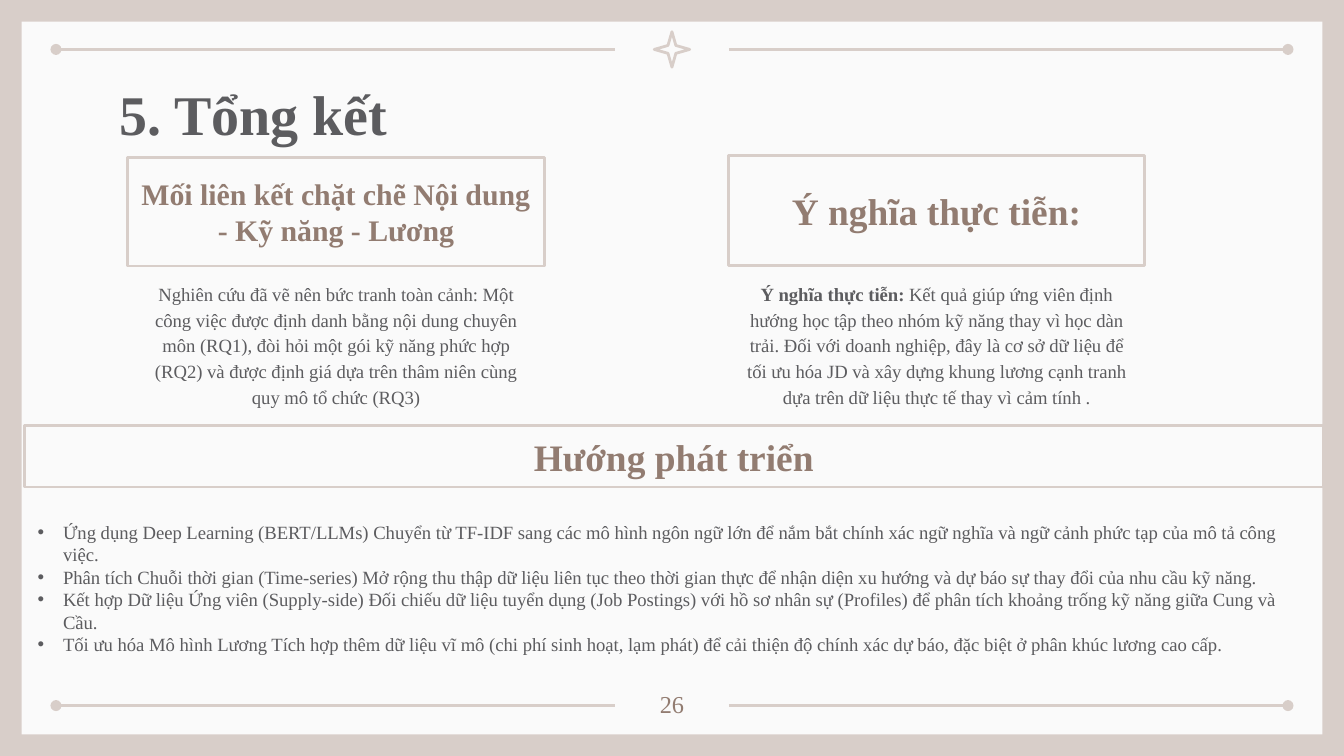
import pptx
import pptx.dml.color
import pptx.enum.shapes
import pptx.enum.text
import pptx.oxml
import pptx.oxml.ns
import pptx.util
from dataclasses import dataclass

Pt = pptx.util.Pt
Shape = pptx.enum.shapes.MSO_SHAPE
Align = pptx.enum.text.PP_ALIGN
Anchor = pptx.enum.text.MSO_ANCHOR


@dataclass(frozen=True)
class Theme:
    font: str = "Times New Roman"
    frame: str = "D8CEC9"
    panel: str = "FAFAFA"
    accent: str = "927C71"
    ink: str = "5C5C5F"
    line: float = 1.5
    title: float = 30
    heading: float = 20
    long_heading: float = 16
    number: float = 13
    body: float = 10


THEME = Theme()
WIDTH, HEIGHT = 720, 405
INSET = 7.2
COLUMN_LEFT, COLUMN_RIGHT, COLUMN_WIDTH = 68.4, 390.2, 223.2
BAND_LEFT, BAND_WIDTH = 13, 696

SUMMARY = (
    "Nghiên cứu đã vẽ nên bức tranh toàn cảnh: Một công việc được định danh bằng "
    "nội dung chuyên môn (RQ1), đòi hỏi một gói kỹ năng phức hợp (RQ2) và được "
    "định giá dựa trên thâm niên cùng quy mô tổ chức (RQ3)"
)
MEANING_LABEL = "Ý nghĩa thực tiễn:"
MEANING = (
    " Kết quả giúp ứng viên định hướng học tập theo nhóm kỹ năng thay vì học dàn "
    "trải. Đối với doanh nghiệp, đây là cơ sở dữ liệu để tối ưu hóa JD và xây dựng "
    "khung lương cạnh tranh dựa trên dữ liệu thực tế thay vì cảm tính ."
)
DIRECTIONS = [
    "Ứng dụng Deep Learning (BERT/LLMs) Chuyển từ TF-IDF sang các mô hình ngôn ngữ "
    "lớn để nắm bắt chính xác ngữ nghĩa và ngữ cảnh phức tạp của mô tả công việc.",
    "Phân tích Chuỗi thời gian (Time-series) Mở rộng thu thập dữ liệu liên tục theo "
    "thời gian thực để nhận diện xu hướng và dự báo sự thay đổi của nhu cầu kỹ năng.",
    "Kết hợp Dữ liệu Ứng viên (Supply-side) Đối chiếu dữ liệu tuyển dụng (Job "
    "Postings) với hồ sơ nhân sự (Profiles) để phân tích khoảng trống kỹ năng giữa "
    "Cung và Cầu.",
    "Tối ưu hóa Mô hình Lương Tích hợp thêm dữ liệu vĩ mô (chi phí sinh hoạt, lạm "
    "phát) để cải thiện độ chính xác dự báo, đặc biệt ở phân khúc lương cao cấp.",
]


def color(value):
    return pptx.dml.color.RGBColor.from_string(value)


def element(tag, **attributes):
    node = pptx.oxml.parse_xml(f"<a:{tag} {pptx.oxml.ns.nsdecls('a')}/>")
    for name, value in attributes.items():
        node.set(name, str(value))
    return node


def add_span(para, text, size, ink, bold):
    span = para.add_run()
    span.text = text
    span.font.name = THEME.font
    span.font.size = Pt(size)
    span.font.bold = bold
    span.font.color.rgb = color(ink)


def add_bullet(para, indent=13.7):
    properties = para._p.get_or_add_pPr()
    properties.set("marL", str(Pt(indent)))
    properties.set("indent", str(-Pt(indent)))
    properties.append(element("buFont", typeface="Arial"))
    properties.append(element("buChar", char="•"))


def write(box, *texts, size=THEME.body, ink=THEME.ink, bold=False, lead="",
          align=Align.LEFT, anchor=Anchor.TOP, spacing=None, inset=INSET, bullets=False):
    """Write one paragraph per text; lead is a bold opening of each paragraph."""
    frame = box.text_frame
    frame.word_wrap = True
    frame.vertical_anchor = anchor
    frame.margin_left = frame.margin_right = Pt(INSET)
    frame.margin_top = frame.margin_bottom = Pt(inset)
    for index, text in enumerate(texts):
        para = frame.add_paragraph() if index else frame.paragraphs[0]
        para.alignment = align
        if spacing:
            para.line_spacing = spacing
        if bullets:
            add_bullet(para)
        if lead:
            add_span(para, lead, size, ink, True)
        add_span(para, text, size, ink, bold)


def add_box(page, left, top, width, height):
    return page.shapes.add_textbox(Pt(left), Pt(top), Pt(width), Pt(height))


def add_shape(page, kind, left, top, width, height, fill=None):
    """A filled shape has no outline; an unfilled one is outlined."""
    shape = page.shapes.add_shape(kind, Pt(left), Pt(top), Pt(width), Pt(height))
    shape.shadow.inherit = False
    if fill:
        shape.fill.solid()
        shape.fill.fore_color.rgb = color(fill)
        shape.line.fill.background()
    else:
        shape.fill.background()
        shape.line.color.rgb = color(THEME.frame)
        shape.line.width = Pt(THEME.line)
    return shape


def add_heading(page, text, left, top, width, height, size=THEME.heading):
    box = add_shape(page, Shape.RECTANGLE, left, top, width, height)
    write(box, text, size=size, ink=THEME.accent, bold=True,
          align=Align.CENTER, anchor=Anchor.MIDDLE)


def add_rule(page, left, right, y, dot):
    rule = page.shapes.add_connector(
        pptx.enum.shapes.MSO_CONNECTOR.STRAIGHT, Pt(left), Pt(y), Pt(right), Pt(y))
    rule.line.color.rgb = color(THEME.frame)
    rule.line.width = Pt(THEME.line)
    rule.line._get_or_add_ln().append(element(dot, type="oval"))
    rule._element.spPr.append(element("effectLst"))


def add_frame(page):
    page.background.fill.solid()
    page.background.fill.fore_color.rgb = color(THEME.frame)
    margin = 11.6
    add_shape(page, Shape.RECTANGLE, margin, margin,
              WIDTH - 2 * margin, HEIGHT - 2 * margin, THEME.panel)
    outer, inner = 30, 329.5
    for y in (26.5, 378):
        add_rule(page, outer, inner, y, "headEnd")
        add_rule(page, WIDTH - inner, WIDTH - outer, y, "tailEnd")
    star = add_shape(page, Shape.STAR_4_POINT, 350.5, 17, 19, 19)
    star.adjustments[0] = 0.157


def main():
    deck = pptx.Presentation()
    deck.slide_width, deck.slide_height = Pt(WIDTH), Pt(HEIGHT)
    page = deck.slides.add_slide(deck.slide_layouts[6])

    # Frame, page number and title
    add_frame(page)
    write(add_box(page, 338.4, 362.2, 43.2, 26), "26",
          size=THEME.number, ink=THEME.accent, align=Align.CENTER)
    write(add_box(page, 56.8, 35.4, 607, 45.4), "5. Tổng kết",
          size=THEME.title, bold=True)

    # Two columns: heading and summary
    add_heading(page, "Mối liên kết chặt chẽ Nội dung - Kỹ năng - Lương",
                COLUMN_LEFT, 84.2, COLUMN_WIDTH, 58.3, THEME.long_heading)
    add_heading(page, MEANING_LABEL, COLUMN_RIGHT, 83.4, COLUMN_WIDTH, 59)
    for left, lead, text in ((COLUMN_LEFT, "", SUMMARY),
                             (COLUMN_RIGHT, MEANING_LABEL, MEANING)):
        write(add_box(page, left, 142.5, COLUMN_WIDTH, 80), text,
              lead=lead, align=Align.CENTER, spacing=1.15)

    # Future directions
    add_heading(page, "Hướng phát triển", BAND_LEFT, 228, BAND_WIDTH, 33)
    write(add_box(page, BAND_LEFT, 275, BAND_WIDTH, 80), *DIRECTIONS,
          anchor=Anchor.MIDDLE, inset=3.6, bullets=True)

    deck.save("out.pptx")


if __name__ == "__main__":
    main()
